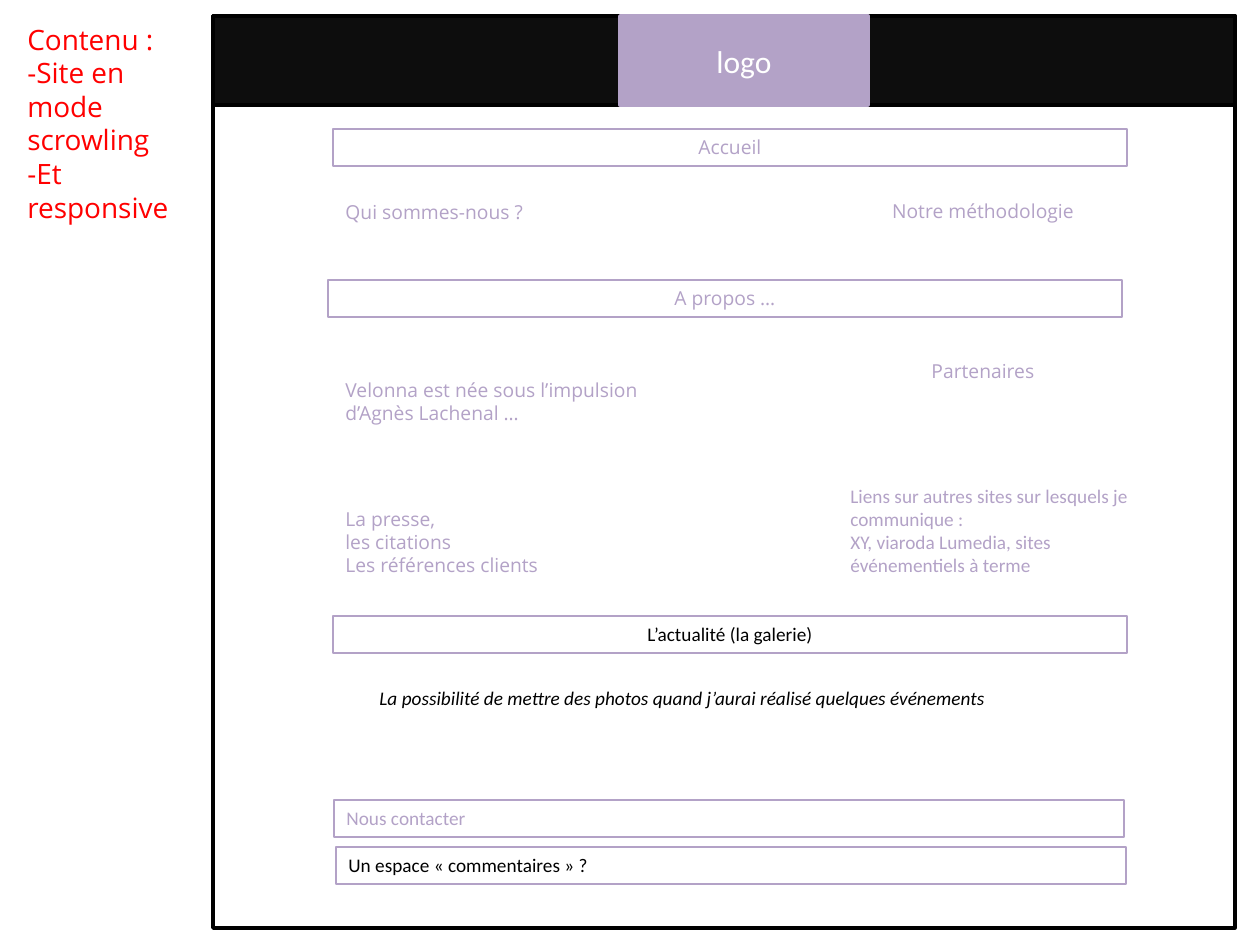
from dataclasses import dataclass
from typing import Optional

from pptx import Presentation
from pptx import util as u
from pptx.dml.color import RGBColor
from pptx.enum import shapes, text

SCALE = 914400 / 126
BLACK = RGBColor(0, 0, 0)
CHARCOAL = RGBColor(0x0D, 0x0D, 0x0D)
LILAC = RGBColor(0xB3, 0xA2, 0xC7)
RED = RGBColor(0xFF, 0, 0)
WHITE = RGBColor(0xFF, 0xFF, 0xFF)
SANS = "Open Sans"
CALIBRI = "Calibri"
LEFT = text.PP_ALIGN.LEFT
CENTER = text.PP_ALIGN.CENTER
TOP = text.MSO_ANCHOR.TOP
MIDDLE = text.MSO_ANCHOR.MIDDLE
ROW_HEIGHT = 37
HEADER_HEIGHT = 89


@dataclass(frozen=True)
class Block:
    left: int
    top: int
    width: int
    height: int = ROW_HEIGHT
    wording: str = ""
    align: text.PP_ALIGN = LEFT
    anchor: text.MSO_ANCHOR = TOP
    font: str = SANS
    size: float = 11
    color: RGBColor = LILAC
    italic: bool = False
    fill: Optional[RGBColor] = WHITE
    line: Optional[RGBColor] = None
    line_width: float = 0.75


BLOCKS = [
    Block(15, 16, 179, 217, "Contenu :\n-Site en mode scrowling\n-Et responsive",
          size=16, color=RED, fill=None),
    Block(213, 16, 1022, 912, fill=None, line=BLACK, line_width=2),
    Block(333, 129, 794, wording="Accueil", align=CENTER, line=LILAC),
    Block(333, 170, 348, 83, "Qui sommes-nous ?", anchor=MIDDLE),
    Block(809, 169, 348, 83, "Notre méthodologie", CENTER, MIDDLE),
    Block(328, 280, 794, wording="A propos …", align=CENTER, line=LILAC),
    Block(333, 372, 377, 59, "Velonna est née sous l’impulsion d’Agnès Lachenal …"),
    Block(334, 800, 790, wording="Nous contacter", font=CALIBRI, line=LILAC),
    Block(333, 616, 794, wording="L’actualité (la galerie)", align=CENTER,
          font=CALIBRI, color=BLACK, line=LILAC),
    Block(367, 680, 714,
          wording="La possibilité de mettre des photos quand j’aurai réalisé quelques événements",
          font=CALIBRI, color=BLACK, italic=True),
    Block(814, 353, 338, wording="Partenaires", align=CENTER),
    Block(333, 501, 338, 83, "La presse,\nles citations\nLes références clients"),
    Block(838, 478, 338, 106,
          "Liens sur autres sites sur lesquels je communique :\n"
          "XY, viaroda Lumedia, sites événementiels à terme", font=CALIBRI),
    Block(336, 847, 790, wording="Un espace «\u00a0commentaires\u00a0» ?",
          font=CALIBRI, color=BLACK, line=LILAC),
    Block(213, 16, 1022, HEADER_HEIGHT, fill=CHARCOAL, line=BLACK, line_width=2),
    Block(620, 16, 248, HEADER_HEIGHT, "logo", CENTER, MIDDLE, CALIBRI, 18, WHITE,
          fill=LILAC, line=LILAC, line_width=2),
]


def pixels(value: int) -> u.Emu:
    return u.Emu(round(value * SCALE))


def write_text(shape, block: Block) -> None:
    frame = shape.text_frame
    frame.text = block.wording
    frame.word_wrap = True
    frame.vertical_anchor = block.anchor
    for paragraph in frame.paragraphs:
        paragraph.alignment = block.align
        for run in paragraph.runs:
            run.font.name = block.font
            run.font.size = u.Pt(block.size)
            run.font.italic = block.italic
            run.font.color.rgb = block.color


def draw_block(slide, block: Block) -> None:
    bounds = [pixels(value) for value in (block.left, block.top, block.width, block.height)]
    if block.fill is None and block.line is None:
        shape = slide.shapes.add_textbox(*bounds)
    else:
        shape = slide.shapes.add_shape(shapes.MSO_SHAPE.RECTANGLE, *bounds)
        shape.shadow.inherit = False
        if block.fill is None:
            shape.fill.background()
        else:
            shape.fill.solid()
            shape.fill.fore_color.rgb = block.fill
        if block.line is None:
            shape.line.fill.background()
        else:
            shape.line.color.rgb = block.line
            shape.line.width = u.Pt(block.line_width)
    if block.wording:
        write_text(shape, block)


def main() -> None:
    presentation = Presentation()
    presentation.slide_width = pixels(1260)
    presentation.slide_height = pixels(945)
    slide = presentation.slides.add_slide(presentation.slide_layouts[6])
    for block in BLOCKS:
        draw_block(slide, block)
    presentation.save("out.pptx")


main()
